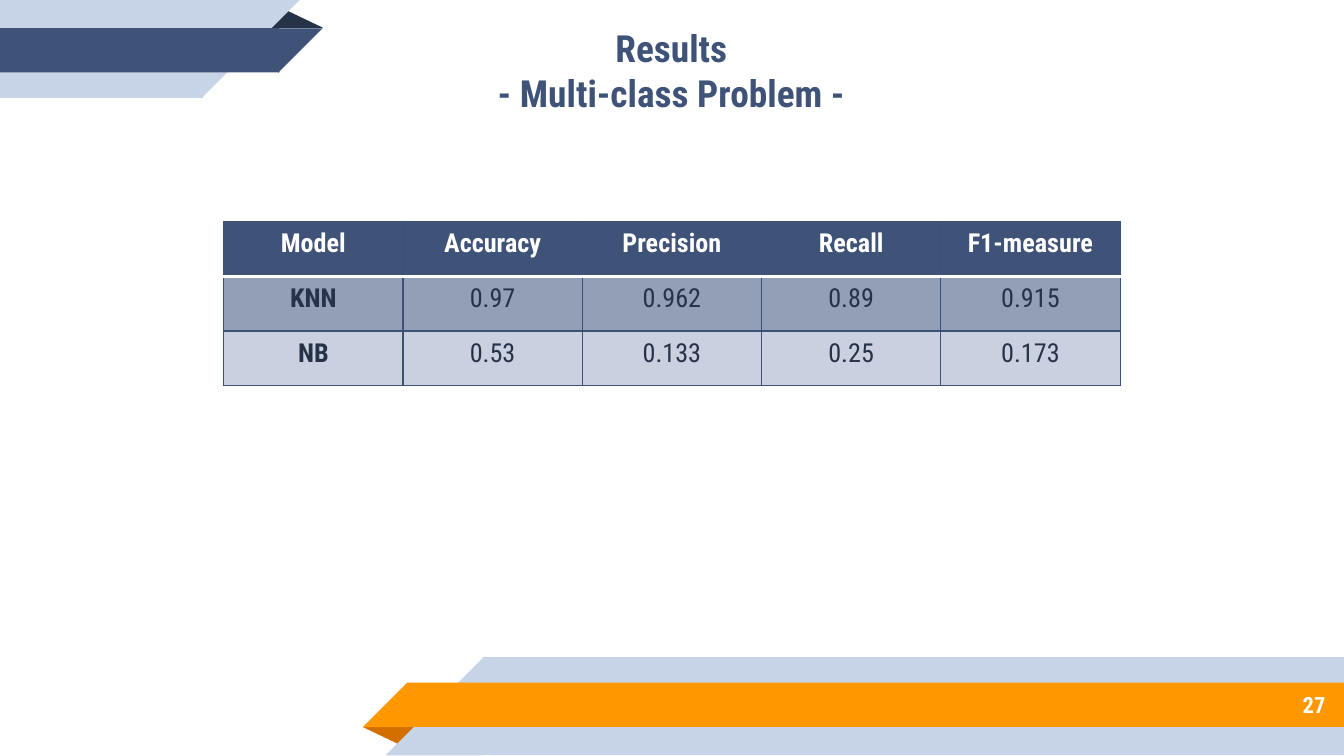
from lxml.etree import SubElement
from pptx import Presentation
from pptx.dml.color import RGBColor
from pptx.enum.shapes import MSO_SHAPE
from pptx.enum.text import MSO_ANCHOR, PP_ALIGN
from pptx.oxml.ns import qn
from pptx.util import Inches, Pt

NAVY, DARK, PALE = "3F5378", "263248", "C7D3E6"
ORANGE, RUST, WHITE, RULE = "FF9800", "D26F00", "FFFFFF", "3C5177"
FONT = "Roboto Condensed"
SLIDE_WIDTH = 10
SLIDE_HEIGHT = SLIDE_WIDTH * 9 / 16

RESULTS = [
    ("Model", "Accuracy", "Precision", "Recall", "F1-measure"),
    ("KNN", "0.97", "0.962", "0.89", "0.915"),
    ("NB", "0.53", "0.133", "0.25", "0.173"),
]
ROW_FILLS = [NAVY, "939EB7", "CBD0E0"]
TABLE_WIDTH, TABLE_HEIGHT, TABLE_TOP = 6.67, 1.22, 1.65

FOLD, BAND, CORNER = MSO_SHAPE.ISOSCELES_TRIANGLE, MSO_SHAPE.RECTANGLE, MSO_SHAPE.RIGHT_TRIANGLE
RIBBONS = [
    (FOLD, (2.7, 5.41, 0.43, 0.14), RUST, 180, False),
    (BAND, (3.59, 4.89, 6.41, 0.73), PALE, 0, False),
    (CORNER, (2.87, 4.89, 0.73, 0.73), PALE, 0, True),
    (BAND, (3.03, 5.08, 6.97, 0.33), ORANGE, 0, False),
    (CORNER, (2.7, 5.08, 0.33, 0.33), ORANGE, 0, True),
    (FOLD, (1.98, 0.07, 0.43, 0.14), DARK, 0, False),
    (BAND, (0, 0, 1.51, 0.73), PALE, 0, False),
    (CORNER, (1.5, 0, 0.73, 0.73), PALE, 180, True),
    (BAND, (0, 0.21, 2.08, 0.33), NAVY, 0, False),
    (CORNER, (2.07, 0.21, 0.33, 0.33), NAVY, 180, True),
]

LABELS = [
    ("27", (8.33, 5.07, 1.63, 0.35), PP_ALIGN.RIGHT, 12, WHITE),
    ("Results\v- Multi-class Problem -", (2.12, 0.1, 5.75, 0.84), PP_ALIGN.CENTER, 20, NAVY),
]
FRAME_FORMAT = {
    "word_wrap": True,
    "vertical_anchor": MSO_ANCHOR.MIDDLE,
    **{f"margin_{side}": Inches(0.1) for side in ("left", "right", "top", "bottom")},
}


def color(code):
    return RGBColor.from_string(code)


def apply(target, values):
    for name, value in values.items():
        setattr(target, name, value)


def write(frame, words, align, size, ink, bold):
    frame.text = words
    paragraph = frame.paragraphs[0]
    paragraph.alignment = align
    for run in paragraph.runs:
        apply(run.font, {"name": FONT, "size": Pt(size), "bold": bold})
        run.font.color.rgb = color(ink)


def add_ribbon(slide, kind, box, fill, turn, flipped):
    ribbon = slide.shapes.add_shape(kind, *map(Inches, box))
    ribbon.shadow.inherit = False
    ribbon.fill.solid()
    ribbon.fill.fore_color.rgb = color(fill)
    ribbon.line.fill.background()
    ribbon.rotation = turn
    if kind == FOLD:
        ribbon.adjustments[0] = 0.32
    if flipped:
        ribbon._element.spPr.xfrm.set("flipH", "1")


def add_border(cell, side, code, width):
    line = SubElement(cell._tc.get_or_add_tcPr(), qn(f"a:ln{side}"), w=str(Pt(width)))
    SubElement(SubElement(line, qn("a:solidFill")), qn("a:srgbClr"), val=code)


def add_results(slide):
    box = ((SLIDE_WIDTH - TABLE_WIDTH) / 2, TABLE_TOP, TABLE_WIDTH, TABLE_HEIGHT)
    grid = slide.shapes.add_table(len(RESULTS), len(RESULTS[0]), *map(Inches, box)).table
    for r, (entries, fill) in enumerate(zip(RESULTS, ROW_FILLS)):
        for c, entry in enumerate(entries):
            cell = grid.cell(r, c)
            write(cell.text_frame, entry, PP_ALIGN.CENTER, 14,
                  WHITE if r == 0 else DARK, r == 0 or c == 0)
            for side in "LRTB":
                under_header = (r, side) in ((0, "B"), (1, "T"))
                add_border(cell, side, *((WHITE, 2) if under_header else (RULE, 0.75)))
            cell.fill.solid()
            cell.fill.fore_color.rgb = color(fill)


def main():
    deck = Presentation()
    apply(deck, {"slide_width": Inches(SLIDE_WIDTH), "slide_height": Inches(SLIDE_HEIGHT)})
    slide = deck.slides.add_slide(deck.slide_layouts[6])
    for ribbon in RIBBONS:
        add_ribbon(slide, *ribbon)
    for words, box, align, size, ink in LABELS:
        frame = slide.shapes.add_textbox(*map(Inches, box)).text_frame
        apply(frame, FRAME_FORMAT)
        write(frame, words, align, size, ink, True)
    add_results(slide)
    deck.save("out.pptx")


if __name__ == "__main__":
    main()
